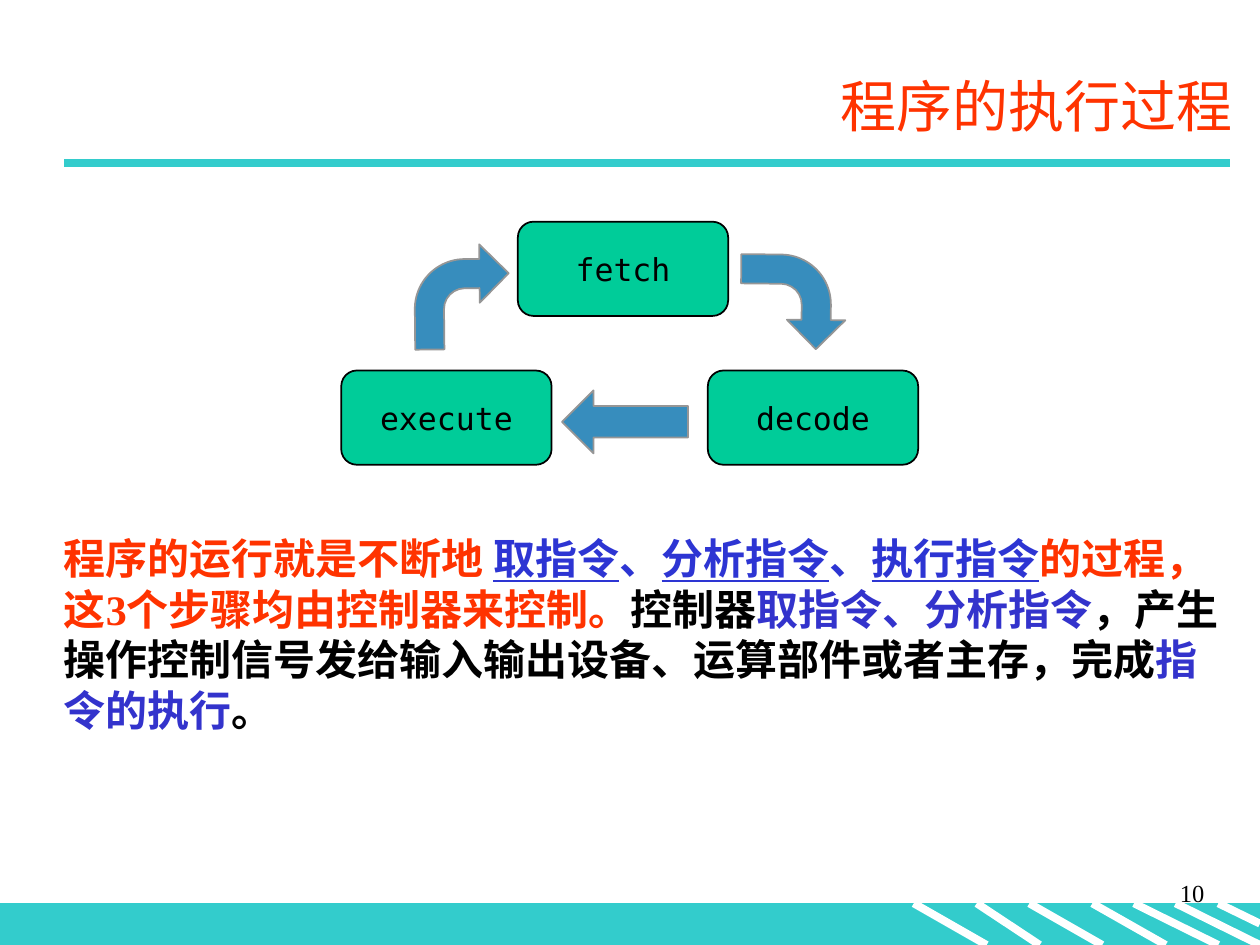
from dataclasses import dataclass

from lxml.etree import SubElement
from pptx import Presentation
from pptx.dml.color import RGBColor
from pptx.enum.lang import MSO_LANGUAGE_ID as Language
from pptx.enum.shapes import MSO_CONNECTOR, MSO_SHAPE
from pptx.enum.text import MSO_ANCHOR, MSO_AUTO_SIZE, PP_ALIGN
from pptx.oxml.ns import qn
from pptx.util import Cm, Pt


@dataclass(frozen=True)
class Theme:
    teal: str = "33CCCC"
    white: str = "FFFFFF"
    black: str = "000000"
    red: str = "FF3300"
    step_blue: str = "2D35D3"
    blue: str = "3333CC"
    box_green: str = "00CC99"
    arrow_blue: str = "378DBD"
    arrow_edge: str = "969696"
    serif: str = "Times New Roman"
    mono: str = "DejaVu Sans Mono"
    title_size: int = 32
    body_size: int = 24
    box_size: int = 18
    number_size: int = 14


theme = Theme()


def add_run(paragraph, text, size, color, name=theme.serif, bold=False, underline=False):
    run = paragraph.add_run()
    run.text = text
    font = run.font
    font.name, font.size = name, Pt(size)
    font.bold, font.underline = bold, underline
    font.color.rgb = RGBColor.from_string(color)
    font.language_id = Language.SIMPLIFIED_CHINESE


def add_filled(kind, left, top, width, height, fill, line, line_width=1):
    shape = slide.shapes.add_shape(kind, Cm(left), Cm(top), Cm(width), Cm(height))
    shape.shadow.inherit = False
    shape.fill.solid()
    shape.fill.fore_color.rgb = RGBColor.from_string(fill)
    shape.line.color.rgb = RGBColor.from_string(line)
    shape.line.width = Pt(line_width)
    return shape


presentation = Presentation()
presentation.slide_width, presentation.slide_height = Cm(25.4), Cm(19.05)
slide = presentation.slides.add_slide(presentation.slide_layouts[5])

# Footer band, its white stripes and the rule under the title
band_top, band_bottom = 18.21, 19.05
add_filled(MSO_SHAPE.RECTANGLE, 0, band_top, 25.4, band_bottom - band_top,
           theme.teal, theme.teal, 0.75)
stripes = [(18.42, 19.89), (19.69, 20.96), (20.75, 22.22), (22.02, 23.5),
           (22.86, 24.56), (23.7, 25.4)]
lines = [(x1, band_top, x2, band_bottom, theme.white) for x1, x2 in stripes]
lines.append((24.56, band_top, 25.4, 18.62, theme.white))
lines.append((1.3, 3.28, 24.79, 3.28, theme.teal))
for x1, y1, x2, y2, color in lines:
    connector = slide.shapes.add_connector(
        MSO_CONNECTOR.STRAIGHT, Cm(x1), Cm(y1), Cm(x2), Cm(y2))
    connector.line.color.rgb = RGBColor.from_string(color)
    connector.line.width = Pt(4.5)
    SubElement(connector.element.spPr, qn("a:effectLst"))

# Title
title = slide.shapes.title
title.left, title.top, title.width, title.height = Cm(3.51), Cm(1.12), Cm(21.59), Cm(2.01)
title.text_frame.auto_size = MSO_AUTO_SIZE.NONE
title.text_frame.vertical_anchor = MSO_ANCHOR.MIDDLE
paragraph = title.text_frame.paragraphs[0]
paragraph.alignment = PP_ALIGN.RIGHT
add_run(paragraph, "程序的执行过程", theme.title_size, theme.red)

# Instruction cycle: three boxes joined by arrows
for label, left, top in [("fetch", 10.44, 4.47), ("decode", 14.27, 7.47),
                         ("execute", 6.88, 7.47)]:
    box = add_filled(MSO_SHAPE.ROUNDED_RECTANGLE, left, top, 4.24, 1.9,
                     theme.box_green, theme.black)
    box.text_frame.word_wrap = False
    box.text_frame.vertical_anchor = MSO_ANCHOR.MIDDLE
    paragraph = box.text_frame.paragraphs[0]
    paragraph.alignment = PP_ALIGN.CENTER
    add_run(paragraph, label, theme.box_size, theme.black, theme.mono)

for left, top, rotation in [(8.36, 4.93, 359.4), (15.04, 5.03, 90.6)]:
    arrow = add_filled(MSO_SHAPE.BENT_ARROW, left, top, 1.9, 2.11,
                       theme.arrow_blue, theme.arrow_edge)
    arrow.rotation = rotation
    for index, value in enumerate([0.31, 0.31, 0.31, 0.53]):
        arrow.adjustments[index] = value
add_filled(MSO_SHAPE.LEFT_ARROW, 11.33, 7.87, 2.54, 1.27,
           theme.arrow_blue, theme.arrow_edge)

# Explanation
explanation = slide.shapes.add_textbox(Cm(1.04), Cm(10.62), Cm(24), Cm(4.32))
explanation.text_frame.word_wrap = True
paragraph = explanation.text_frame.paragraphs[0]
for text, color, underline in [
    ("程序的运行就是不断地 ", theme.red, False),
    ("取指令", theme.step_blue, True),
    ("、", theme.step_blue, False),
    ("分析指令", theme.step_blue, True),
    ("、", theme.step_blue, False),
    ("执行指令", theme.step_blue, True),
    ("的过程，这3个步骤均由控制器来控制。", theme.red, False),
    ("控制器", theme.black, False),
    ("取指令、分析指令", theme.blue, False),
    ("，产生操作控制信号发给输入输出设备、运算部件或者主存，完成", theme.black, False),
    ("指令的执行", theme.blue, False),
    ("。", theme.black, False),
]:
    add_run(paragraph, text, theme.body_size, color, bold=True, underline=underline)

# Slide number
number = slide.shapes.add_textbox(Cm(19.25), Cm(17.58), Cm(5.28), Cm(1.27))
number.text_frame.word_wrap = True
paragraph = number.text_frame.paragraphs[0]
paragraph.alignment = PP_ALIGN.RIGHT
add_run(paragraph, "10", theme.number_size, theme.black)

presentation.save("out.pptx")
